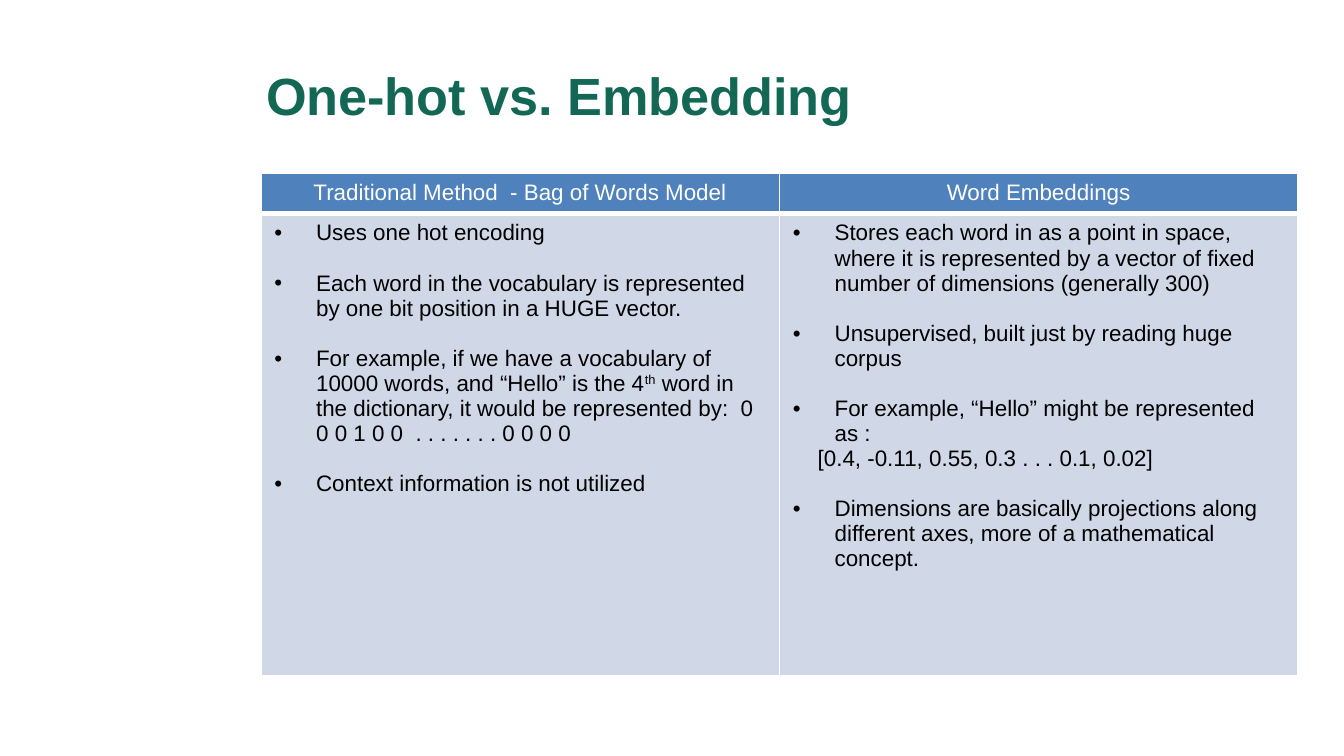
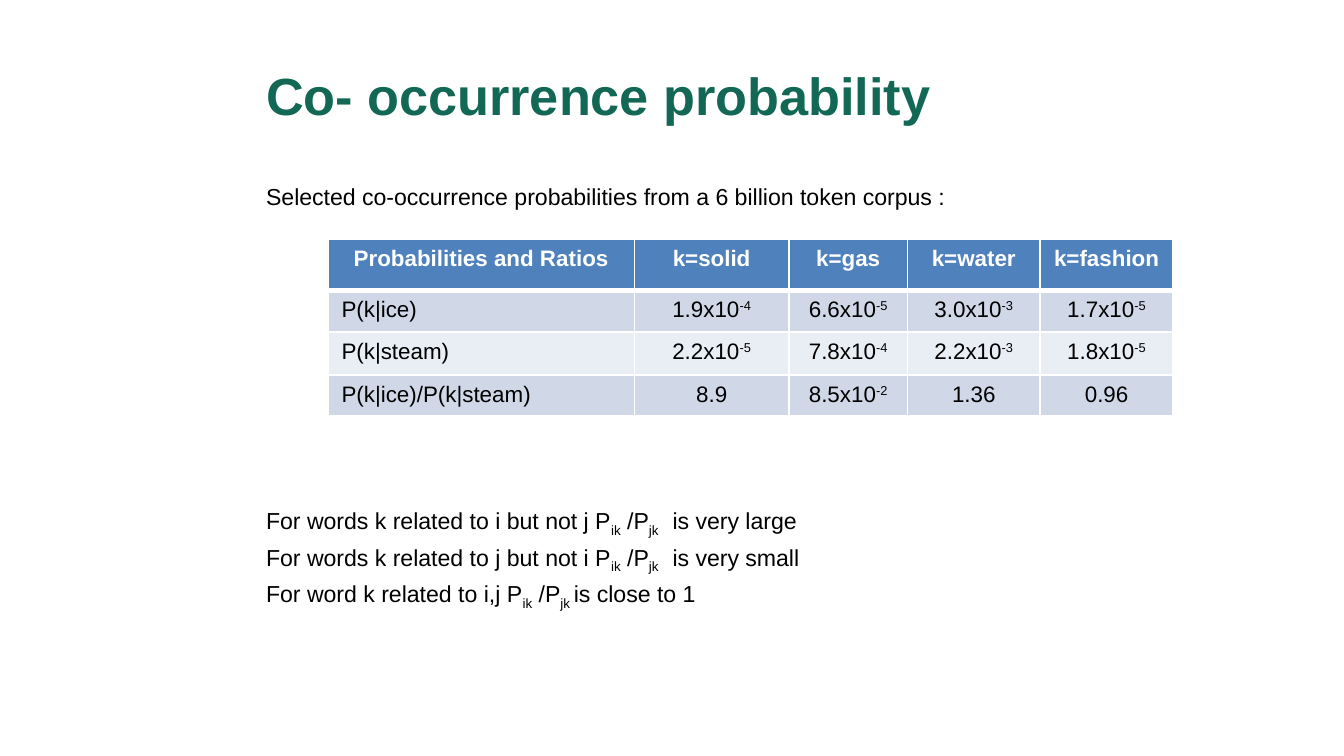
from dataclasses import dataclass

from lxml.etree import SubElement
from pptx import Presentation
from pptx.dml.color import RGBColor
from pptx.enum.text import MSO_ANCHOR as Anchor, PP_ALIGN as Align
from pptx.oxml.ns import qn
from pptx.util import Cm, Pt


@dataclass(frozen=True)
class Theme:
    font: str = "Arial"
    title: str = "136855"
    text: str = "000000"
    white: str = "FFFFFF"
    header: str = "4F81BD"
    bands: tuple = ("D0D8E8", "E9EDF4")
    title_size: float = 28
    body_size: float = 12.4
    table_size: float = 12
    thin: float = 1
    thick: float = 3


THEME = Theme()
RAISED, LOWERED = ("^", "30000"), ("~", "-25000")
TEXT_LEFT, TEXT_WIDTH = 4.78, 19.35
BULLET_INDENT, VECTOR_INDENT, BULLET_GAP = 0.79, 0.47, 13.4

METHODS = {
    "Traditional Method  - Bag of Words Model": [
        "Uses one hot encoding",
        "Each word in the vocabulary is represented by one bit position in a HUGE vector.",
        "For example, if we have a vocabulary of 10000 words, and “Hello” is the 4^th^ word "
        "in the dictionary, it would be represented by:  0 0 0 1 0 0  . . . . . . . 0 0 0 0",
        "Context information is not utilized",
    ],
    "Word Embeddings": [
        "Stores each word in as a point in space, where it is represented by a vector of "
        "fixed number of dimensions (generally 300)",
        "Unsupervised, built just by reading huge corpus",
        "For example, “Hello” might be represented as :",
        "[0.4, -0.11, 0.55, 0.3 . . . 0.1, 0.02]",
        "Dimensions are basically projections along different axes, more of a "
        "mathematical concept.",
    ],
}

PROBABILITIES = [
    ("Probabilities and Ratios", "k=solid", "k=gas", "k=water", "k=fashion"),
    ("P(k|ice)", "1.9x10^-4", "6.6x10^-5", "3.0x10^-3", "1.7x10^-5"),
    ("P(k|steam)", "2.2x10^-5", "7.8x10^-4", "2.2x10^-3", "1.8x10^-5"),
    ("P(k|ice)/P(k|steam)", "8.9", "8.5x10^-2", "1.36", "0.96"),
]

STATEMENTS = [
    ("Selected co-occurrence probabilities from a 6 billion token corpus :", 2.5),
    ("For words k related to i but not j P~ik~ /P~jk  ~ is very large", 158.8),
    ("For words k related to j but not i P~ik~ /P~jk  ~ is very small", 2.5),
    ("For word k related to i,j P~ik~ /P~jk ~is close to 1", 2.5),
]


def write(paragraph, text, size, color=THEME.text, bold=False):
    mark, baseline = LOWERED if LOWERED[0] in text else RAISED
    for index, part in enumerate(text.split(mark)):
        if part:
            run = paragraph.add_run()
            run.text = part
            if index % 2:
                run.font._element.set("baseline", baseline)
    font = paragraph.font
    font.name, font.size, font.bold = THEME.font, Pt(size), bold
    font.color.rgb = RGBColor.from_string(color)


def paragraphs_for(frame, items):
    for index, item in enumerate(items):
        yield (frame.add_paragraph() if index else frame.paragraphs[0]), item


def add_text_frame(slide, top, height, anchor=Anchor.TOP):
    box = slide.shapes.add_textbox(Cm(TEXT_LEFT), Cm(top), Cm(TEXT_WIDTH), Cm(height))
    box.text_frame.word_wrap = True
    box.text_frame.vertical_anchor = anchor
    return box.text_frame


def add_titled_slide(presentation, title):
    slide = presentation.slides.add_slide(presentation.slide_layouts[6])
    frame = add_text_frame(slide, 0.6, 2.38, Anchor.MIDDLE)
    write(frame.paragraphs[0], title, THEME.title_size, THEME.title, True)
    return slide


def set_borders(cell, row):
    widths = {
        "a:lnL": THEME.thin,
        "a:lnR": THEME.thin,
        "a:lnT": THEME.thick if row == 1 else THEME.thin,
        "a:lnB": THEME.thick if row == 0 else THEME.thin,
    }
    properties = cell._tc.get_or_add_tcPr()
    for tag, width in widths.items():
        line = SubElement(properties, qn(tag), w=str(Pt(width)))
        fill = SubElement(line, qn("a:solidFill"))
        SubElement(fill, qn("a:srgbClr"), val=THEME.white)


def add_grid(slide, left, top, widths, heights):
    table = slide.shapes.add_table(
        len(heights), len(widths), Cm(left), Cm(top), Cm(sum(widths)), Cm(sum(heights))
    ).table
    for column, width in zip(table.columns, widths):
        column.width = Cm(width)
    for index, (row, height) in enumerate(zip(table.rows, heights)):
        row.height = Cm(height)
        color = THEME.bands[(index - 1) % 2] if index else THEME.header
        for cell in row.cells:
            set_borders(cell, index)
            cell.fill.solid()
            cell.fill.fore_color.rgb = RGBColor.from_string(color)
    return table


def write_header(cell, text, bold):
    paragraph = cell.text_frame.paragraphs[0]
    paragraph.alignment = Align.CENTER
    write(paragraph, text, THEME.table_size, THEME.white, bold)


def write_points(cell, points):
    for paragraph, point in paragraphs_for(cell.text_frame, points):
        properties = paragraph._p.get_or_add_pPr()
        if point.startswith("["):
            properties.set("marL", str(Cm(VECTOR_INDENT)))
        else:
            properties.set("marL", str(Cm(BULLET_INDENT)))
            properties.set("indent", str(-Cm(BULLET_INDENT)))
            SubElement(properties, qn("a:buFont"), typeface=THEME.font)
            SubElement(properties, qn("a:buChar"), char="•")
            if point != points[0]:
                paragraph.space_before = Pt(BULLET_GAP)
        write(paragraph, point, THEME.table_size)


def add_comparison(presentation):
    slide = add_titled_slide(presentation, "One-hot vs. Embedding")
    table = add_grid(slide, 4.93, 3.28, [9.8] * len(METHODS), [0.72, 8.74])
    for column, (method, points) in enumerate(METHODS.items()):
        write_header(table.cell(0, column), method, False)
        write_points(table.cell(1, column), points)


def add_probabilities(presentation):
    slide = add_titled_slide(presentation, "Co- occurrence probability")
    frame = add_text_frame(slide, 3.33, 9.42)
    for paragraph, (text, gap) in paragraphs_for(frame, STATEMENTS):
        paragraph.space_before = Pt(gap)
        write(paragraph, text, THEME.body_size)
    table = add_grid(
        slide, 6.2, 4.52, [5.79, 2.92, 2.24, 2.51, 2.51], [0.97, 0.79, 0.81, 0.71]
    )
    for row, values in enumerate(PROBABILITIES):
        for column, value in enumerate(values):
            cell = table.cell(row, column)
            if row == 0:
                write_header(cell, value, True)
                continue
            paragraph = cell.text_frame.paragraphs[0]
            paragraph.alignment = Align.CENTER if column else Align.LEFT
            write(paragraph, value, THEME.table_size)


def main():
    presentation = Presentation()
    presentation.slide_width, presentation.slide_height = Cm(25.4), Cm(14.29)
    add_comparison(presentation)
    add_probabilities(presentation)
    presentation.save("out.pptx")


if __name__ == "__main__":
    main()
